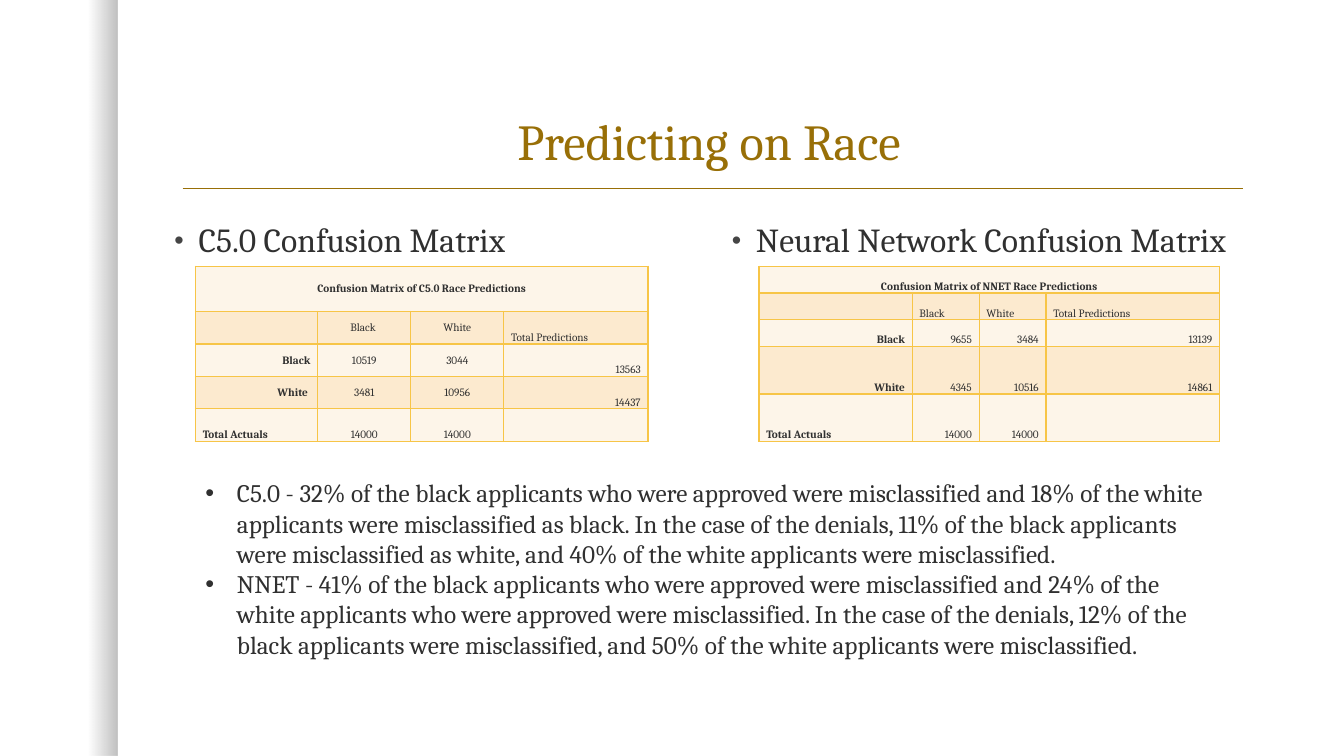
from lxml.etree import SubElement
from pptx import Presentation
from pptx.dml.color import RGBColor
from pptx.enum.shapes import MSO_CONNECTOR as Connector, MSO_SHAPE as Shape
from pptx.enum.text import MSO_ANCHOR as Anchor, PP_ALIGN as Align
from pptx.oxml import parse_xml
from pptx.oxml.ns import nsdecls, qn
from pptx.util import Pt

FONT = "Cambria"
COLORS = {
    "title": "986F07", "text": "303030", "bullet": "454545",
    "border": "F7C547", "light": "FDF5E9", "band": "FCEACF", "shade": "000000",
}
TITLE = "Predicting on Race"
HEADINGS = [
    ("C5.0 Confusion Matrix", 117.4),
    ("Neural Network Confusion Matrix", 515.5),
]
TABLES = [
    {
        "left": 139.7,
        "columns": [87.3, 66.5, 66.5, 103],
        "heights": [32.4, 23.2, 23.2, 23.2, 23.2],
        "rows": [
            ["Confusion Matrix of C5.0 Race Predictions", "", "", ""],
            ["", "Black ", "White", "Total Predictions"],
            ["Black", "10519", "3044", "13563"],
            ["White ", "3481", "10956", "14437"],
            ["Total Actuals", "14000", "14000", ""],
        ],
        "aligns": ["cccc", "lccl", "rccr", "rccr", "lccl"],
        "anchors": ["mmmm", "mmmb", "mmmb", "mmmb", "bbbb"],
    },
    {
        "left": 542.2,
        "columns": [109.4, 47.8, 47.8, 124],
        "heights": [19.2, 19.2, 19.2, 33.8, 33.8],
        "rows": [
            ["Confusion Matrix of NNET Race Predictions", "", "", ""],
            ["", "Black", "White", "Total Predictions"],
            ["Black", "9655", "3484", "13139"],
            ["White", "4345", "10516", "14861"],
            ["Total Actuals", "14000", "14000", ""],
        ],
        "aligns": ["cccc", "llll", "rrrr", "rrrr", "lrrl"],
        "anchors": ["bbbb"] * 5,
    },
]
FINDINGS = [
    "C5.0 - 32% of the black applicants who were approved were misclassified and 18% of the white applicants were misclassified as black. In the case of the denials, 11% of the black applicants were misclassified as white, and 40% of the white applicants were misclassified.",
    "NNET - 41% of the black applicants who were approved were misclassified and 24% of the white applicants who were approved were misclassified. In the case of the denials, 12% of the black applicants were misclassified, and 50% of the white applicants were misclassified.",
]
ALIGNS = {"l": Align.LEFT, "c": Align.CENTER, "r": Align.RIGHT}
ANCHORS = {"m": Anchor.MIDDLE, "b": Anchor.BOTTOM}


def add_text(paragraph, text, size, color="text", bold=False):
    run = paragraph.add_run()
    run.text = text
    run.font.name = FONT
    run.font.size = Pt(size)
    run.font.bold = bold
    run.font.color.rgb = RGBColor.from_string(COLORS[color])


def add_bullet(paragraph, indent, color, percent):
    properties = paragraph._p.get_or_add_pPr()
    properties.set("marL", str(Pt(indent)))
    properties.set("indent", str(-Pt(indent)))
    bullet_color = SubElement(properties, qn("a:buClr"))
    SubElement(bullet_color, qn("a:srgbClr"), val=COLORS[color])
    SubElement(properties, qn("a:buSzPct"), val=str(percent * 1000))
    SubElement(properties, qn("a:buFont"), typeface="Arial")
    SubElement(properties, qn("a:buChar"), char="•")


def place(shape, left, top, width, height):
    shape.left, shape.top, shape.width, shape.height = map(Pt, (left, top, width, height))


def add_borders(cell):
    properties = cell._tc.get_or_add_tcPr()
    for position, side in enumerate(("lnL", "lnR", "lnT", "lnB")):
        border = parse_xml(
            f'<a:{side} {nsdecls("a")} w="{Pt(1)}"><a:solidFill>'
            f'<a:srgbClr val="{COLORS["border"]}"/></a:solidFill></a:{side}>'
        )
        properties.insert(position, border)


def add_side_shade(slide):
    shade = slide.shapes.add_shape(Shape.RECTANGLE, 0, 0, Pt(83.9), Pt(540))
    shade.shadow.inherit = False
    shade.line.fill.background()
    shade.fill.gradient()
    shade.fill.gradient_angle = 0
    for stop, position, alpha in zip(shade.fill.gradient_stops, (0.75, 1), (0, 25)):
        stop.position = position
        stop.color.rgb = RGBColor.from_string(COLORS["shade"])
        color = stop._gs.find(qn("a:srgbClr"))
        SubElement(color, qn("a:alpha"), val=str(alpha * 1000))


def add_rule(slide):
    rule = slide.shapes.add_connector(
        Connector.STRAIGHT, Pt(130.5), Pt(134.5), Pt(888), Pt(134.5))
    rule.line.color.rgb = RGBColor.from_string(COLORS["title"])
    rule.line.width = Pt(1)
    SubElement(rule._element.spPr, qn("a:effectLst"))


def add_matrix(slide, matrix):
    columns, heights = matrix["columns"], matrix["heights"]
    table = slide.shapes.add_table(
        len(heights), len(columns), Pt(matrix["left"]), Pt(190.1),
        Pt(sum(columns)), Pt(sum(heights))).table
    table.first_row = table.horz_banding = False
    for column, width in zip(table.columns, columns):
        column.width = Pt(width)
    for row_index, texts in enumerate(matrix["rows"]):
        table.rows[row_index].height = Pt(heights[row_index])
        for column_index, text in enumerate(texts):
            cell = table.cell(row_index, column_index)
            cell.margin_left = cell.margin_right = Pt(5.2)
            cell.margin_top = cell.margin_bottom = 0
            cell.vertical_anchor = ANCHORS[matrix["anchors"][row_index][column_index]]
            cell.fill.solid()
            cell.fill.fore_color.rgb = RGBColor.from_string(
                COLORS["band" if row_index % 2 else "light"])
            add_borders(cell)
            paragraph = cell.text_frame.paragraphs[0]
            paragraph.alignment = ALIGNS[matrix["aligns"][row_index][column_index]]
            paragraph.line_spacing = 1.07
            if text:
                add_text(paragraph, text, 8, bold=row_index == 0 or column_index == 0)
            else:
                SubElement(paragraph._p, qn("a:endParaRPr"), sz="800")
    table.cell(0, 0).merge(table.cell(0, len(columns) - 1))


def main():
    presentation = Presentation()
    presentation.slide_width, presentation.slide_height = Pt(960), Pt(540)
    slide = presentation.slides.add_slide(presentation.slide_layouts[3])
    add_side_shade(slide)
    add_rule(slide)

    title = slide.shapes.title
    place(title, 119.5, 30.2, 774, 95.8)
    title.text_frame.vertical_anchor = Anchor.BOTTOM
    paragraph = title.text_frame.paragraphs[0]
    paragraph.alignment = Align.CENTER
    paragraph.line_spacing = 0.9
    add_text(paragraph, TITLE, 36, "title")

    for index, (heading, left) in enumerate(HEADINGS, start=1):
        body = slide.placeholders[index]
        place(body, left, 156.2, 378, 329.8)
        paragraph = body.text_frame.paragraphs[0]
        paragraph.line_spacing = 0.9
        paragraph.space_before = Pt(0)
        add_bullet(paragraph, 17.3, "bullet", 80)
        add_text(paragraph, heading, 24)

    for matrix in TABLES:
        add_matrix(slide, matrix)

    findings = slide.shapes.add_textbox(Pt(139.7), Pt(337.7), Pt(731.5), Pt(203.8))
    frame = findings.text_frame
    frame.word_wrap = True
    for index, finding in enumerate(FINDINGS):
        paragraph = frame.add_paragraph() if index else frame.paragraphs[0]
        add_bullet(paragraph, 22.5, "text", 100)
        add_text(paragraph, finding, 18)

    presentation.save("out.pptx")


if __name__ == "__main__":
    main()
